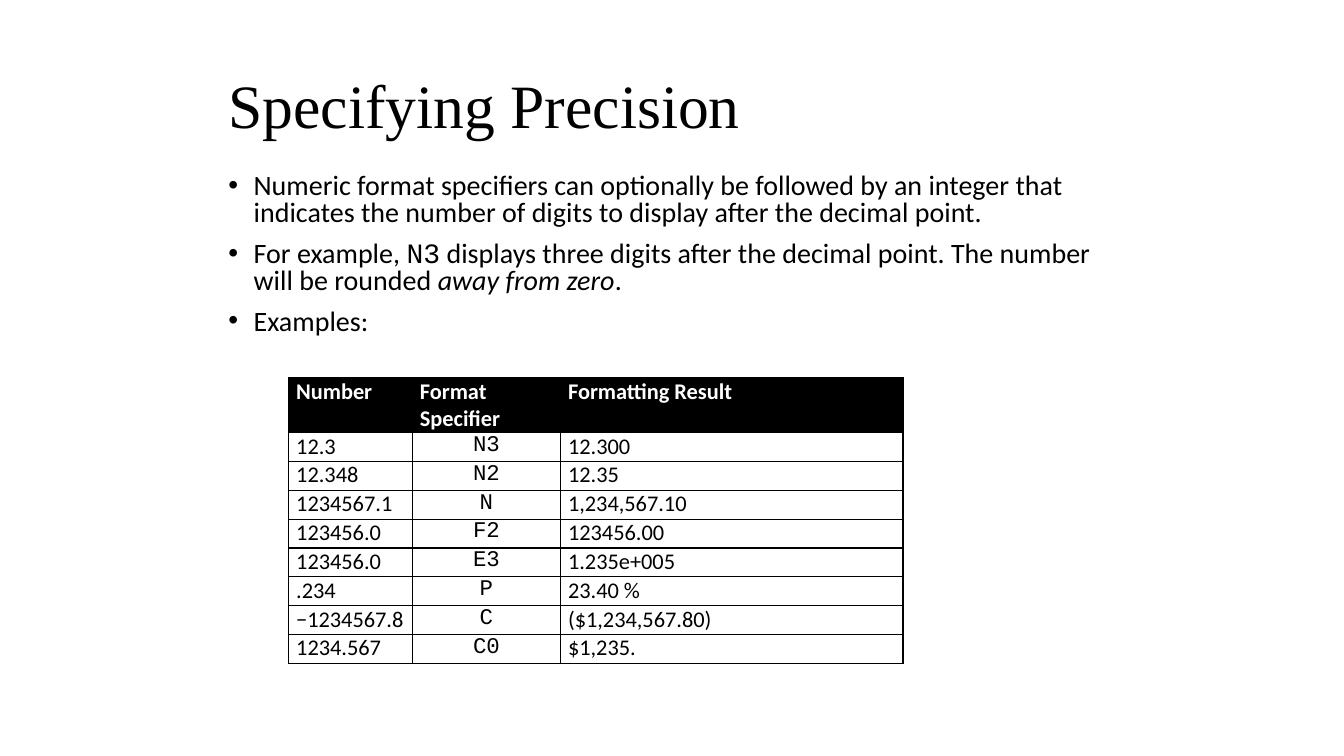
"""Build the slide on specifying precision in numeric format specifiers."""
from lxml.etree import SubElement
from pptx import Presentation
from pptx.dml.color import RGBColor
from pptx.enum.text import MSO_ANCHOR, MSO_AUTO_SIZE, PP_ALIGN
from pptx.oxml.ns import qn
from pptx.util import Pt

COLORS = {"ink": "000000", "paper": "FFFFFF"}
SANS, SERIF, MONO = "Calibri", "Times New Roman", "Courier New"

BULLETS = [
    [("Numeric format specifiers can optionally be followed by an integer that "
      "indicates the number of digits to display after the decimal point.", SANS, False)],
    [("For example, ", SANS, False),
     ("N3", MONO, False),
     (" displays three digits after the decimal point. The number will be rounded ", SANS, False),
     ("away from zero", SANS, True),
     (".", SANS, False)],
    [("Examples:", SANS, False)],
]

HEADINGS = ("Number", "Format Specifier", "Formatting Result")
EXAMPLES = [
    ("12.3", "N3", "12.300"),
    ("12.348", "N2", "12.35"),
    ("1234567.1", "N", "1,234,567.10"),
    ("123456.0", "F2", "123456.00"),
    ("123456.0", "E3", "1.235e+005"),
    (".234", "P", "23.40 %"),
    ("−1234567.8", "C", "($1,234,567.80)"),
    ("1234.567", "C0", "$1,235."),
]
COLUMN_WIDTHS = (88.4, 105.8, 244.6)
ROW_HEIGHT = 20.6
SPECIFIER_COLUMN = 1


def rgb(name):
    return RGBColor.from_string(COLORS[name])


def add_run(paragraph, text, face, size, color="ink", bold=False, italic=False):
    run = paragraph.add_run()
    run.text = text
    font = run.font
    font.name, font.size = face, Pt(size)
    font.bold, font.italic = bold, italic
    font.color.rgb = rgb(color)


def place(placeholder, left, top, width, height):
    placeholder.left, placeholder.top = Pt(left), Pt(top)
    placeholder.width, placeholder.height = Pt(width), Pt(height)
    frame = placeholder.text_frame
    frame.word_wrap = True
    frame.auto_size = MSO_AUTO_SIZE.NONE
    return frame


def add_title(slide, text):
    frame = place(slide.shapes.title, 156, 46, 648, 59)
    frame.vertical_anchor = MSO_ANCHOR.MIDDLE
    frame.margin_top = Pt(7.2)
    heading = frame.paragraphs[0]
    heading.alignment = PP_ALIGN.LEFT
    heading.line_spacing = 0.9
    add_run(heading, text, SERIF, 44)


def add_bullets(slide, items):
    frame = place(slide.placeholders[1], 156, 121, 648, 133)
    for index, pieces in enumerate(items):
        bullet = frame.add_paragraph() if index else frame.paragraphs[0]
        bullet.line_spacing = 0.8
        bullet.space_before = Pt(10)
        properties = bullet._p.get_or_add_pPr()
        properties.set("marL", str(Pt(18)))
        properties.set("indent", str(Pt(-18)))
        SubElement(properties, qn("a:buFont"), typeface="Arial")
        SubElement(properties, qn("a:buChar"), char="•")
        for text, face, italic in pieces:
            add_run(bullet, text, face, 20, italic=italic)


def add_borders(cell):
    properties = cell._tc.get_or_add_tcPr()
    for index, side in enumerate(("lnL", "lnR", "lnT", "lnB")):
        line = properties.makeelement(qn(f"a:{side}"), {"w": str(Pt(1))})
        properties.insert(index, line)
        fill = SubElement(line, qn("a:solidFill"))
        SubElement(fill, qn("a:srgbClr"), val=COLORS["ink"])


def fill_cell(cell, text, is_heading, is_specifier):
    cell.margin_left = cell.margin_right = Pt(5.4)
    cell.margin_top = cell.margin_bottom = Pt(0)
    cell.fill.solid()
    cell.fill.fore_color.rgb = rgb("ink" if is_heading else "paper")
    add_borders(cell)
    paragraph = cell.text_frame.paragraphs[0]
    is_code = is_specifier and not is_heading
    paragraph.alignment = PP_ALIGN.CENTER if is_code else PP_ALIGN.LEFT
    add_run(paragraph, text, MONO if is_code else SANS, 16,
            "paper" if is_heading else "ink", bold=is_heading)


def add_examples(slide, rows):
    table = slide.shapes.add_table(
        len(rows), len(COLUMN_WIDTHS), Pt(206.2), Pt(270),
        Pt(sum(COLUMN_WIDTHS)), Pt(ROW_HEIGHT * len(rows))).table
    for column, width in zip(table.columns, COLUMN_WIDTHS):
        column.width = Pt(width)
    for r, values in enumerate(rows):
        table.rows[r].height = Pt(ROW_HEIGHT)
        for c, value in enumerate(values):
            fill_cell(table.cell(r, c), value, r == 0, c == SPECIFIER_COLUMN)


def main():
    deck = Presentation()
    deck.slide_width, deck.slide_height = Pt(960), Pt(540)
    slide = deck.slides.add_slide(deck.slide_layouts[1])
    add_title(slide, "Specifying Precision")
    add_bullets(slide, BULLETS)
    add_examples(slide, [HEADINGS, *EXAMPLES])
    deck.save("out.pptx")


if __name__ == "__main__":
    main()
